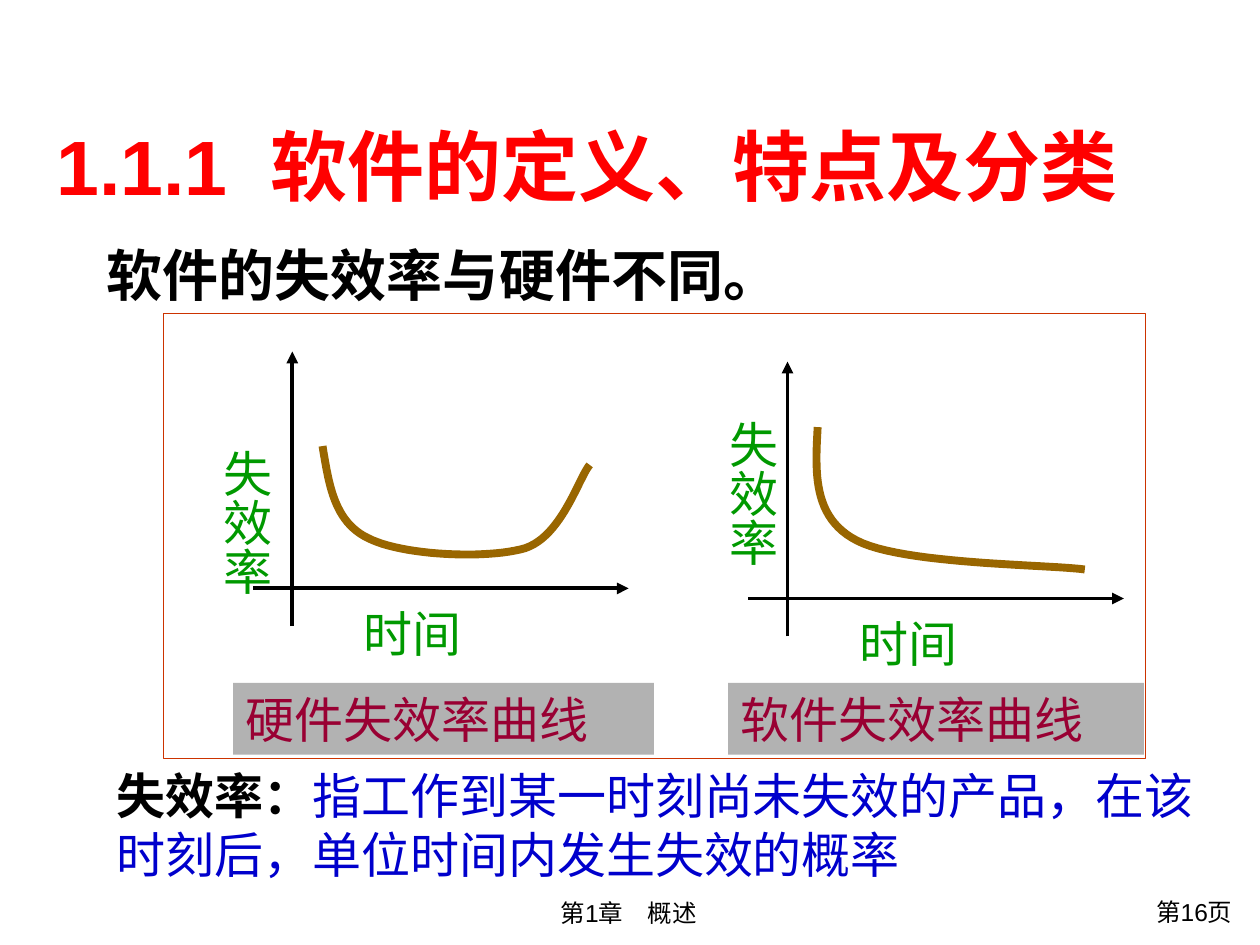
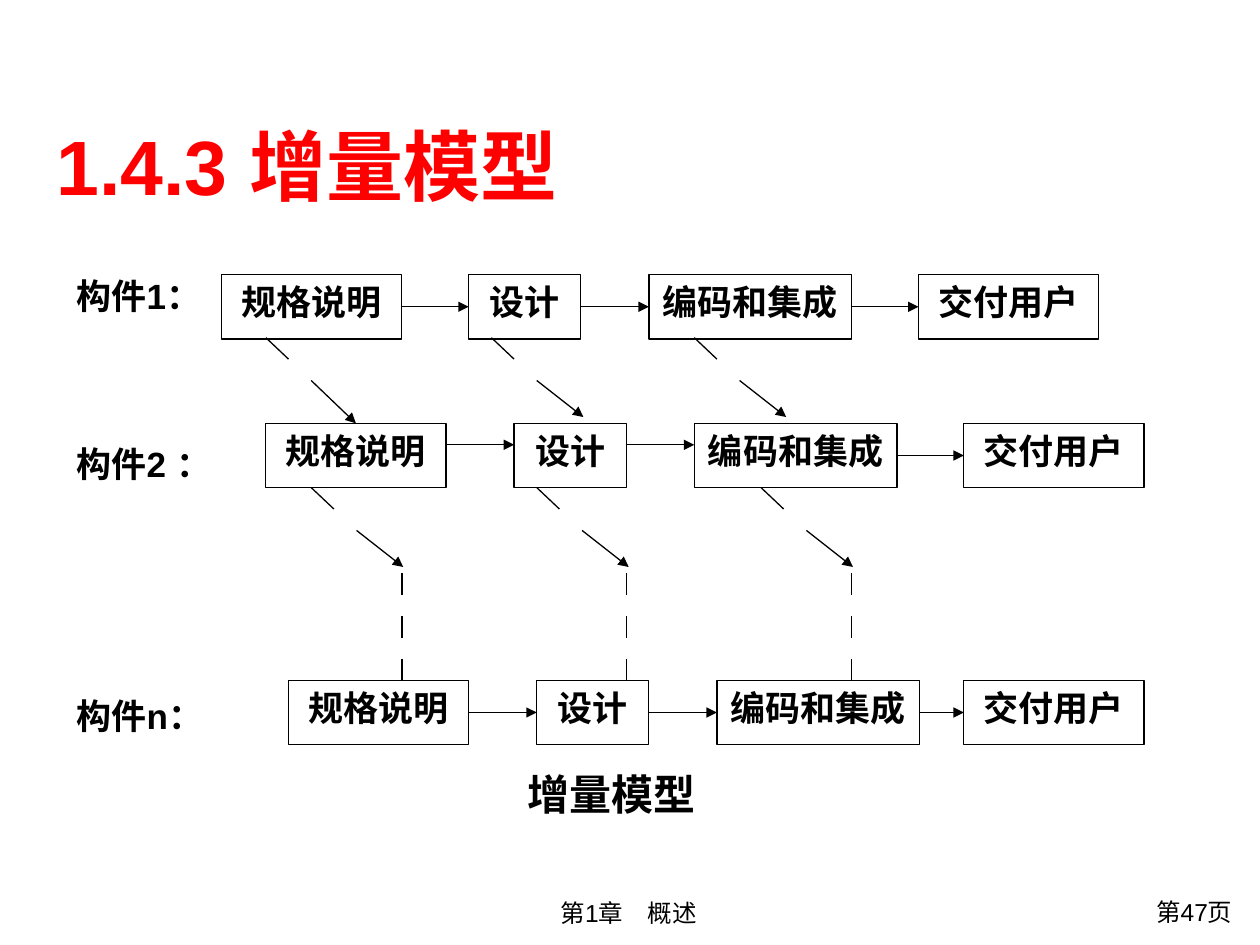
import pptx
import pptx.util
import pptx.dml.color
import pptx.enum.shapes
import pptx.enum.text
import pptx.oxml.ns
import lxml.etree

RGB = pptx.dml.color.RGBColor
BLACK = RGB(0x00, 0x00, 0x00)
WHITE = RGB(0xFF, 0xFF, 0xFF)
RED = RGB(0xFF, 0x00, 0x00)
GREEN = RGB(0x00, 0x99, 0x00)
BLUE = RGB(0x00, 0x00, 0xCC)
BROWN = RGB(0x99, 0x66, 0x00)
WINE = RGB(0x99, 0x00, 0x33)
GREY = RGB(0xB2, 0xB2, 0xB2)
RUST = RGB(0xCC, 0x33, 0x00)

PX = 9144  # EMU per px, 100 px to the inch
ALIGN = pptx.enum.text.PP_ALIGN
ANCHOR = pptx.enum.text.MSO_ANCHOR
RECT = pptx.enum.shapes.MSO_SHAPE.RECTANGLE
STRAIGHT = pptx.enum.shapes.MSO_CONNECTOR.STRAIGHT


def px(*values):
    return [round(v * PX) for v in values]


def add_xml(parent, tag, **attributes):
    return lxml.etree.SubElement(parent, pptx.oxml.ns.qn(tag), **attributes)


def style(p, size, color, bold=False, align=ALIGN.LEFT, font="Arial"):
    p.alignment = align
    f = p.font
    f.size, f.bold, f.name = pptx.util.Pt(size), bold, font
    f.color.rgb = color
    add_xml(p._p.pPr.find(pptx.oxml.ns.qn("a:defRPr")), "a:ea", typeface=font)


def write(sp, text, size, color, **options):
    p = sp.text_frame.paragraphs[0]
    p.text = text
    style(p, size, color, **options)
    return p


def add_text(s, box, text, size, color, **options):
    sp = s.shapes.add_textbox(*px(*box))
    sp.text_frame.word_wrap = True
    write(sp, text, size, color, **options)
    return sp


def add_rect(s, box, fill=None, line=None):
    sp = s.shapes.add_shape(RECT, *px(*box))
    sp.shadow.inherit = False
    if fill is None:
        sp.fill.background()
    else:
        sp.fill.solid()
        sp.fill.fore_color.rgb = fill
    if line is None:
        sp.line.fill.background()
    else:
        sp.line.color.rgb = line
        sp.line.width = pptx.util.Pt(0.75)
    sp.text_frame.word_wrap = True
    sp.text_frame.vertical_anchor = ANCHOR.TOP
    return sp


def add_line(s, x1, y1, x2, y2, width=0.75, arrow=False):
    c = s.shapes.add_connector(STRAIGHT, *px(x1, y1, x2, y2))
    c.line.color.rgb = BLACK
    c.line.width = pptx.util.Pt(width)
    if arrow:
        add_xml(c.line._get_or_add_ln(), "a:tailEnd", type="triangle")
    add_xml(c._element.spPr, "a:effectLst")
    return c


def add_slide(prs, title, page):
    """Title, chapter footer and page number shared by the slides."""
    s = prs.slides.add_slide(prs.slide_layouts[5])
    sp = s.shapes.title
    sp.left, sp.top, sp.width, sp.height = px(35, 83, 900, 95)
    tf = sp.text_frame
    tf.word_wrap = True
    tf.auto_size = pptx.enum.text.MSO_AUTO_SIZE.NONE
    tf.vertical_anchor = ANCHOR.MIDDLE
    write(sp, title, 44, RED, bold=True)
    add_text(s, (235, 708, 528, 34), "第1章　概述", 14, BLACK, align=ALIGN.CENTER)
    add_text(s, (854, 707, 134, 37), f"第{page}页", 14, BLACK, align=ALIGN.RIGHT)
    return s


# Failure rate curves

def bezier_points(points, steps=24):
    """Points along a chain of cubic curves that share their end points."""
    chain = [points[0]]
    for i in range(0, len(points) - 1, 3):
        for k in range(1, steps + 1):
            t = k / steps
            weights = ((1 - t) ** 3, 3 * t * (1 - t) ** 2, 3 * t * t * (1 - t), t ** 3)
            chain.append(tuple(sum(w * q[axis] for w, q in zip(weights, points[i:i + 4]))
                               for axis in (0, 1)))
    return chain


def curve_panel(s, left, top, curve, rate_at, caption, caption_box):
    # Axes
    add_line(s, left + 31, top + 218, left + 31, top, 2.25, arrow=True)
    add_line(s, left, top + 188, left + 298, top + 188, 2.25, arrow=True)
    # Axis names
    sp = add_text(s, (left + rate_at[0], top + rate_at[1], 66, 150), "失效率", 28, GREEN)
    tf = sp.text_frame
    tf._txBody.bodyPr.set("vert", "eaVert")
    tf.margin_left, tf.margin_right, tf.margin_top, tf.margin_bottom = px(5, 5, 10, 10)
    add_text(s, (left + 78, top + 195, 142, 57), "时间", 28, GREEN)
    # Curve
    points = [px(left + x, top + y) for x, y in bezier_points(curve)]
    builder = s.shapes.build_freeform(*points[0], scale=1.0)
    builder.add_line_segments(points[1:], close=False)
    sp = builder.convert_to_shape()
    sp.shadow.inherit = False
    sp.fill.background()
    sp.line.color.rgb = BROWN
    sp.line.width = pptx.util.Pt(4.5)
    # Caption
    write(add_rect(s, caption_box, fill=GREY), caption, 28, WINE)


def failure_rate_slide(prs):
    s = add_slide(prs, "1.1.1  软件的定义、特点及分类", 16)
    hardware = [(55, 75), (60, 105), (64, 135), (91, 148), (118, 162),
                (186, 165), (216, 156), (245, 146), (258, 101), (267, 90)]
    software = [(55, 52), (53, 88), (51, 124), (86, 142), (122, 161), (237, 161), (267, 165)]
    curve_panel(s, 201, 279, hardware, (-43, 68), "硬件失效率曲线", (185, 542, 334, 57))
    curve_panel(s, 594, 287, software, (-35, 37), "软件失效率曲线", (578, 542, 330, 57))
    add_rect(s, (130, 249, 779, 353), line=RUST)
    # Statement and definition
    add_text(s, (75, 186, 708, 64), "软件的失效率与硬件不同。", 32, BLACK, bold=True)
    sp = add_text(s, (83, 603, 906, 104), "失效率：", 28, BLUE)
    p = sp.text_frame.paragraphs[0]
    p.runs[0].font.bold = True
    p.runs[0].font.color.rgb = BLACK
    p.add_run().text = "指工作到某一时刻尚未失效的产品，在该时刻后，单位时间内发生失效的概率"


# Incremental model

STAGES = (("规格说明", 143), ("设计", 89), ("编码和集成", 161), ("交付用户", 143))


def component_row(s, top, label, label_top, lefts, arrow_offsets):
    """Stage boxes joined by arrows; an offset of None means mid-side."""
    add_text(s, (51, label_top, 140, 40), label, 20, BLACK, bold=True)
    boxes = []
    for left, (stage, width) in zip(lefts, STAGES):
        sp = add_rect(s, (left, top, width, 51), fill=WHITE, line=BLACK)
        write(sp, stage, 20, BLACK, bold=True, align=ALIGN.CENTER, font="Calibri")
        boxes.append(sp)
    for i, offset in enumerate(arrow_offsets):
        y = top + (25 if offset is None else offset)
        c = add_line(s, lefts[i] + STAGES[i][1], y, lefts[i + 1], y, arrow=True)
        if offset is None:
            c.begin_connect(boxes[i], 3)
            c.end_connect(boxes[i + 1], 1)
    return boxes


def broken_arrow(s, x, y, target=None):
    add_line(s, x, y, x + 18, y + 17)
    c = add_line(s, x + 36, y + 34, x + 73, y + 63, arrow=True)
    if target is not None:
        c.end_connect(target, 0)


def incremental_model_slide(prs):
    s = add_slide(prs, "1.4.3 增量模型", 47)
    # Rows of stages
    component_row(s, 218, "构件1：", 213, (176, 372, 515, 729), (None,) * 3)
    second = component_row(s, 336, "构件2 ：", 346, (211, 408, 551, 765), (17, 17, None))
    component_row(s, 540, "构件n：", 546, (229, 426, 569, 765), (None,) * 3)
    # Links between rows
    for x, target in ((211, second[0]), (390, None), (551, None)):
        broken_arrow(s, x, 268, target)
    for x in (247, 426, 604):
        broken_arrow(s, x, 387)
    for x in (319, 497, 676):
        for y in range(455, 540, 34):
            add_line(s, x, y, x, y + 17)
    # Caption
    sp = add_text(s, (409, 605, 153, 50), "增量模型", 24, BLACK, bold=True,
                  align=ALIGN.CENTER, font="Noto Sans CJK SC")
    sp.text_frame.word_wrap = False
    sp.text_frame.vertical_anchor = ANCHOR.MIDDLE


def main():
    prs = pptx.Presentation()
    prs.slide_width, prs.slide_height = px(1000, 750)
    failure_rate_slide(prs)
    incremental_model_slide(prs)
    prs.save("out.pptx")


if __name__ == "__main__":
    main()
